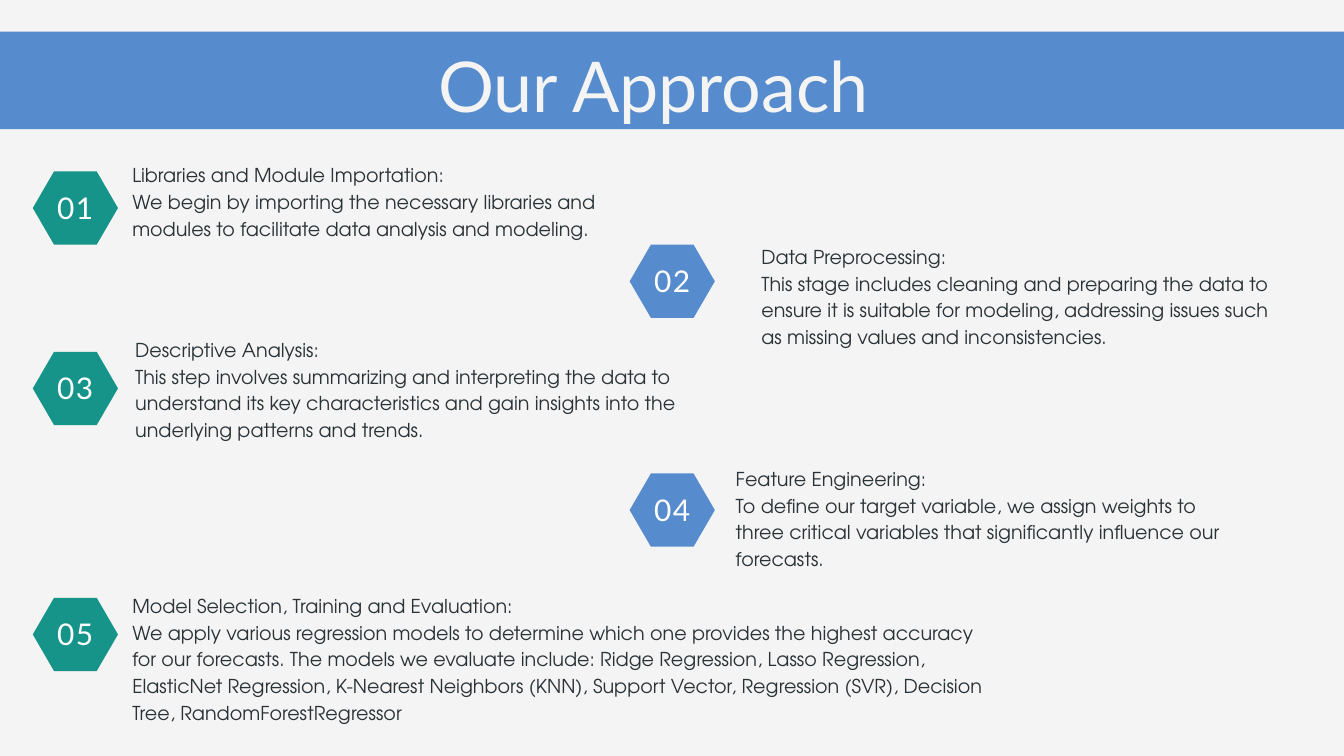
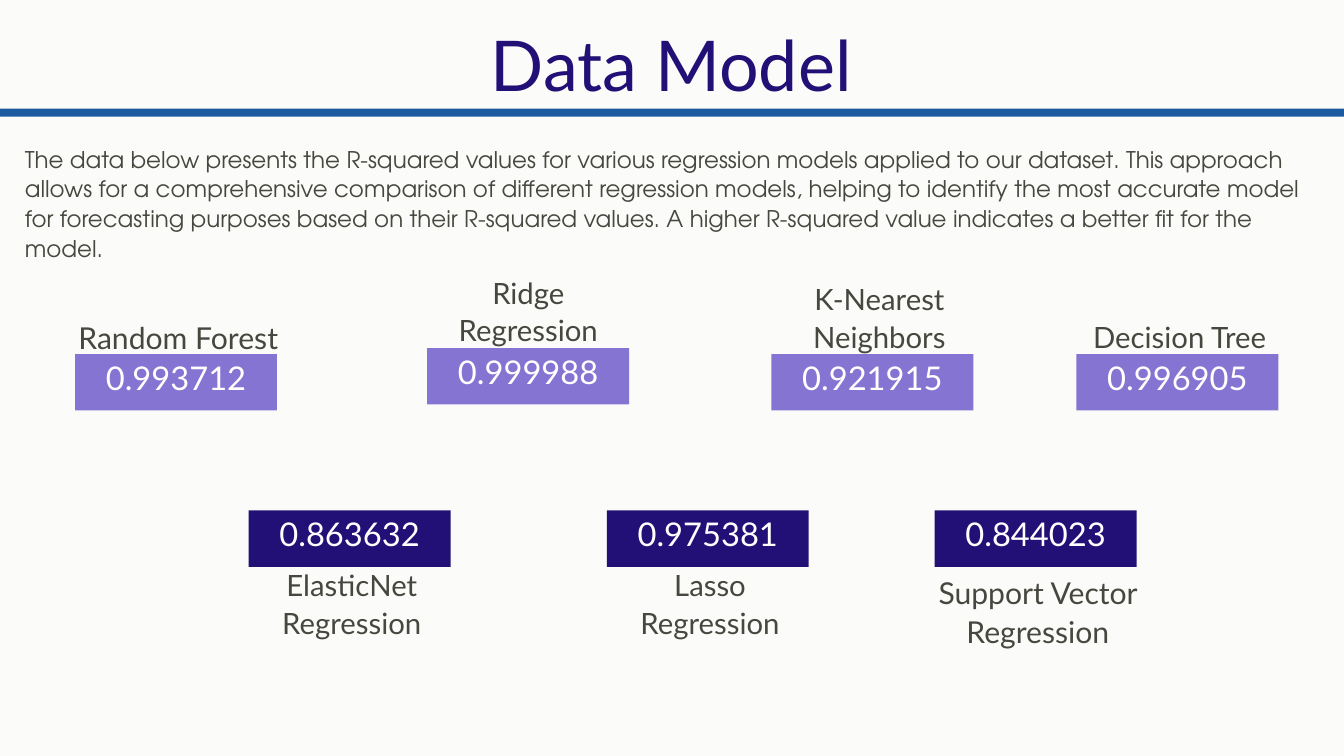
from pptx import Presentation
from pptx.dml.color import RGBColor
from pptx.enum.shapes import MSO_SHAPE
from pptx.enum.text import MSO_ANCHOR, PP_ALIGN
from pptx.util import Cm, Pt

SLIDE_WIDTH = 50.8
SLIDE_HEIGHT = 28.58
HEADING_FONT = "Lato"
BODY_FONT = "TeX Gyre Adventor"

GREY_PAPER = RGBColor(0xF4, 0xF4, 0xF4)
WARM_PAPER = RGBColor(0xFB, 0xFB, 0xF9)
WHITE = RGBColor(0xFF, 0xFF, 0xFF)
SLATE = RGBColor(0x29, 0x32, 0x37)
OLIVE_GREY = RGBColor(0x46, 0x48, 0x3F)
TEAL = RGBColor(0x16, 0x94, 0x8A)
SKY_BLUE = RGBColor(0x56, 0x8C, 0xCD)
RULE_BLUE = RGBColor(0x1A, 0x5B, 0xA0)
LAVENDER = RGBColor(0x85, 0x74, 0xD1)
INDIGO = RGBColor(0x23, 0x10, 0x76)

BADGE_WIDTH = 3.22
BADGE_HEIGHT = 2.77
BADGE_COLUMNS = [(1.24, TEAL), (23.8, SKY_BLUE)]
CARD_WIDTH = 7.63
CARD_HEIGHT = 2.13
LABEL_WIDTH = 7.8
LABEL_LINE = 1.43

STEPS = [
    (6.48, (5, 6.05, 18.64, 3.99), "Libraries and Module Importation:",
     "We begin by importing the necessary libraries and modules to facilitate "
     "data analysis and modeling."),
    (9.25, (28.78, 9.14, 20.02, 4.98), "Data Preprocessing:",
     "This stage includes cleaning and preparing the data to ensure it is suitable "
     "for modeling, addressing issues such as missing values and inconsistencies."),
    (13.3, (5.11, 12.65, 21.92, 4.98), "Descriptive Analysis:",
     "This step involves summarizing and interpreting the data to understand its key "
     "characteristics and gain insights into the underlying patterns and trends."),
    (17.9, (27.81, 17.53, 18.64, 3.99), "Feature Engineering:",
     "To define our target variable, we assign weights to three critical variables "
     "that significantly influence our forecasts."),
    (22.6, (5, 22.33, 32.54, 5.99), "Model Selection, Training and Evaluation:",
     "We apply various regression models to determine which one provides the highest "
     "accuracy for our forecasts. The models we evaluate include: Ridge Regression, "
     "Lasso Regression, ElasticNet Regression, K-Nearest Neighbors (KNN), "
     "Support Vector, Regression (SVR), Decision Tree, RandomForestRegressor"),
]

UPPER_CARDS = [
    ("Random Forest", "0.993712", 2.84, 13.39, 1, 0, 32.3),
    ("Ridge Regression", "0.999988", 16.15, 13.16, 2, -0.08, 31.4),
    ("K-Nearest Neighbors", "0.921915", 29.16, 13.39, 2, 0.18, 31.4),
    ("Decision Tree", "0.996905", 40.69, 13.39, 1, 0, 31.4),
]
LOWER_CARDS = [
    ("ElasticNet Regression", "0.863632", 9.4, 2.06, 31.4),
    ("Lasso Regression", "0.975381", 22.94, 2.06, 31.4),
    ("Support Vector Regression", "0.844023", 35.33, 2.31, 32.3),
]
LOWER_TOP = 19.3

INTRODUCTION = (
    "The data below presents the R-squared values for various regression models applied "
    "to our dataset. This approach allows for a comprehensive comparison of different "
    "regression models, helping to identify the most accurate model for forecasting "
    "purposes based on their R-squared values. A higher R-squared value indicates a "
    "better fit for the model."
)


def add_slide(presentation, background):
    slide = presentation.slides.add_slide(presentation.slide_layouts[6])
    slide.background.fill.solid()
    slide.background.fill.fore_color.rgb = background
    return slide


def add_filled_shape(slide, preset, box, color):
    shape = slide.shapes.add_shape(preset, *map(Cm, box))
    shape.shadow.inherit = False
    shape.fill.solid()
    shape.fill.fore_color.rgb = color
    shape.line.fill.background()
    return shape


def add_text(slide, box, text, font_name, size, line_spacing, color,
             alignment=PP_ALIGN.LEFT, anchor=MSO_ANCHOR.TOP, inset=0, tracking=0):
    text_frame = slide.shapes.add_textbox(*map(Cm, box)).text_frame
    text_frame.word_wrap = True
    text_frame.vertical_anchor = anchor
    text_frame.margin_left = text_frame.margin_right = Cm(inset)
    text_frame.margin_top = text_frame.margin_bottom = Cm(inset)
    text_frame.text = text
    for paragraph in text_frame.paragraphs:
        paragraph.alignment = alignment
        paragraph.line_spacing = Pt(line_spacing)
        for run in paragraph.runs:
            run.font.name = font_name
            run.font.size = Pt(size)
            run.font.color.rgb = color
            if tracking:
                run.font._element.set("spc", str(tracking))


def add_title(slide, box, text, color):
    add_text(slide, box, text, HEADING_FONT, 75, 105, color, PP_ALIGN.CENTER)


def add_band(slide, top, height, color):
    add_filled_shape(slide, MSO_SHAPE.RECTANGLE, (0, top, SLIDE_WIDTH, height), color)


def add_badge(slide, left, top, number, color):
    hexagon = add_filled_shape(
        slide, MSO_SHAPE.HEXAGON, (left, top, BADGE_WIDTH, BADGE_HEIGHT), color)
    hexagon.adjustments[0] = 0.29
    add_text(slide, (left + 0.45, top - 0.26, 2.31, 3.02), f"{number:02}",
             HEADING_FONT, 32, 44.8, WHITE, PP_ALIGN.CENTER, MSO_ANCHOR.MIDDLE,
             inset=0.15, tracking=160)


def add_card(slide, left, top, value, color):
    add_filled_shape(slide, MSO_SHAPE.RECTANGLE, (left, top, CARD_WIDTH, CARD_HEIGHT), color)
    add_text(slide, (left, top - 0.62, CARD_WIDTH, CARD_HEIGHT + 0.62), value,
             HEADING_FONT, 35, 49, WHITE, PP_ALIGN.CENTER, MSO_ANCHOR.MIDDLE, inset=0.15)


def add_label(slide, left, top, lines, name, size):
    add_text(slide, (left, top, LABEL_WIDTH, lines * LABEL_LINE), name, HEADING_FONT,
             size, round(size * 1.287, 1), OLIVE_GREY, PP_ALIGN.CENTER)


def build_approach_slide(presentation):
    slide = add_slide(presentation, GREY_PAPER)
    add_band(slide, 1.2, 3.68, SKY_BLUE)
    add_title(slide, (11.86, 1.09, 25.68, 3.61), "Our Approach", GREY_PAPER)
    for index, (top, text_box, heading, body) in enumerate(STEPS):
        left, color = BADGE_COLUMNS[index % 2]
        add_badge(slide, left, top, index + 1, color)
        add_text(slide, text_box, f"{heading}\n{body}", BODY_FONT, 20.5, 28.6, SLATE)


def build_model_slide(presentation):
    slide = add_slide(presentation, WARM_PAPER)
    add_title(slide, (2.84, 0.3, 45.06, 3.61), "Data Model", INDIGO)
    add_band(slide, 4.11, 0.3, RULE_BLUE)
    add_text(slide, (0.94, 5.41, 49.05, 3.33), INTRODUCTION,
             BODY_FONT, 24.6, 31.8, OLIVE_GREY)
    for name, value, left, top, lines, shift, size in UPPER_CARDS:
        add_card(slide, left, top, value, LAVENDER)
        add_label(slide, left + shift, top - lines * LABEL_LINE, lines, name, size)
    for name, value, left, label_drop, size in LOWER_CARDS:
        add_card(slide, left, LOWER_TOP, value, INDIGO)
        add_label(slide, left, LOWER_TOP + label_drop, 2, name, size)


def main():
    presentation = Presentation()
    presentation.slide_width = Cm(SLIDE_WIDTH)
    presentation.slide_height = Cm(SLIDE_HEIGHT)
    build_approach_slide(presentation)
    build_model_slide(presentation)
    presentation.save("out.pptx")


if __name__ == "__main__":
    main()
